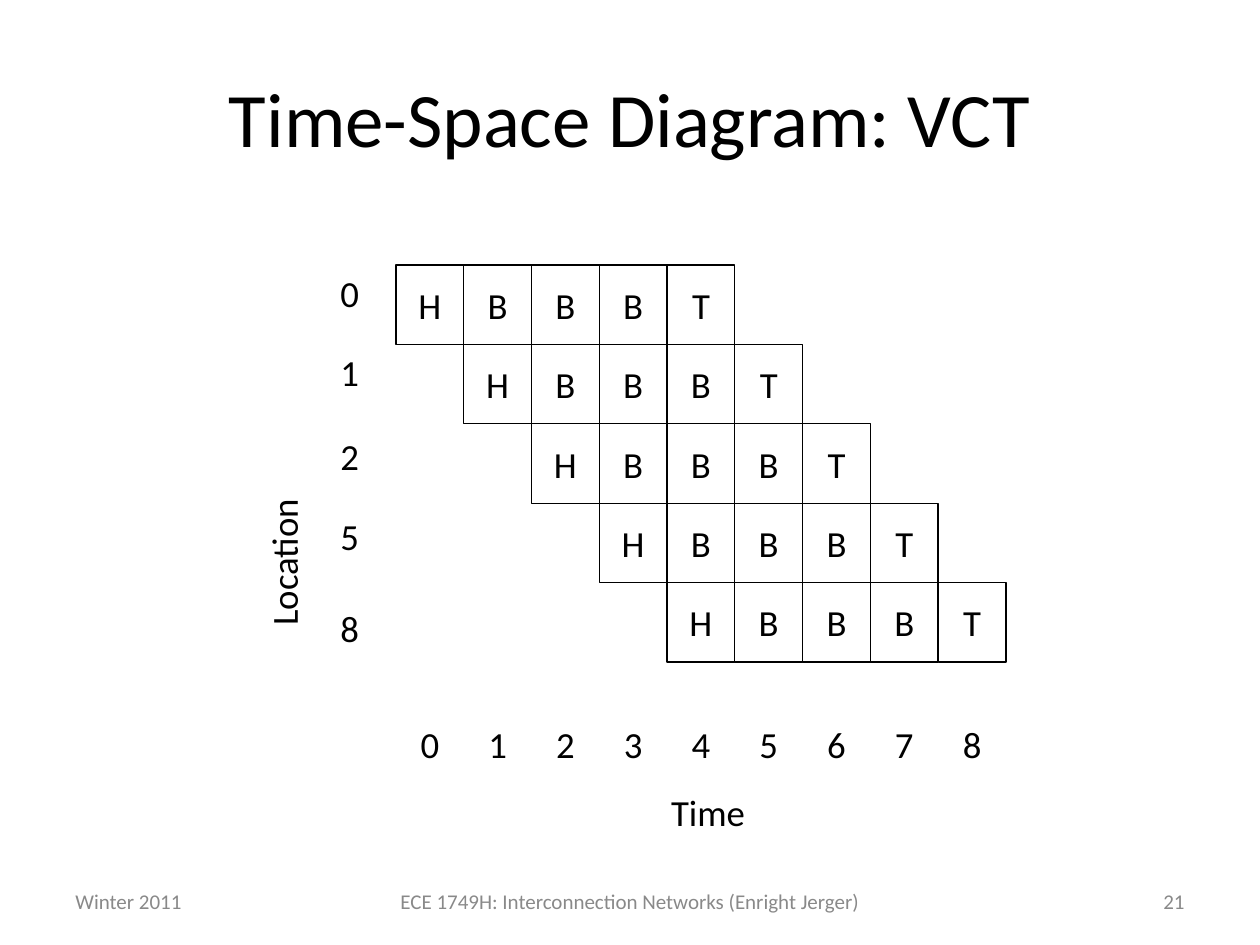
from pptx import Presentation
from pptx.dml.color import RGBColor
from pptx.enum.shapes import MSO_SHAPE as Kind
from pptx.enum.text import MSO_ANCHOR as Anchor, PP_ALIGN as Align
from pptx.util import Emu, Pt

TITLE = "Time-Space Diagram: VCT"
FLITS = ["H", "B", "B", "B", "T"]
TIMES = range(9)
NODES = [("0", 265), ("1", 344), ("2", 428), ("5", 508), ("8", 600)]
AXES = [
    ("Location", (136, 462, 295, 57), Align.LEFT, 270),
    ("Time", (410, 784, 596, 57), Align.CENTER, 0),
]
FOOT = [
    ("Winter 2011", (63, 876, 294, 50), Align.LEFT),
    ("ECE 1749H: Interconnection Networks (Enright Jerger)", (357, 876, 546, 50), Align.CENTER),
    ("21", (903, 876, 294, 50), Align.RIGHT),
]
HUES = {"ink": "000000", "paper": "FFFFFF", "foot": "898989"}
FONT = "Calibri"
PX = 914400 / 126
LEFT, TOP, WIDE, HIGH = 396, 265, 610, 397
AXIS_TOP = 704


def px(*vals):
    return [Emu(round(v * PX)) for v in vals]


def hue(name):
    return RGBColor.from_string(HUES[name])


def write(shape, text, size, align, anchor, color="ink"):
    frame = shape.text_frame
    frame.word_wrap = True
    frame.vertical_anchor = anchor
    para = frame.paragraphs[0]
    para.alignment = align
    run = para.add_run()
    run.text = text
    run.font.name = FONT
    run.font.size = Pt(size)
    run.font.color.rgb = hue(color)


def label(text, box, align, size=21, anchor=Anchor.TOP, color="ink"):
    shape = slide.shapes.add_textbox(*px(*box))
    write(shape, text, size, align, anchor, color)
    return shape


def cell(text, col, top, line):
    x = LEFT + WIDE * col / len(TIMES)
    box = px(x, top, WIDE / len(TIMES), HIGH / len(NODES))
    shape = slide.shapes.add_shape(Kind.RECTANGLE, *box)
    shape.shadow.inherit = False
    shape.fill.background()
    shape.line.color.rgb = hue(line)
    shape.line.width = Pt(0.75)
    write(shape, text, 21, Align.CENTER, Anchor.MIDDLE)


deck = Presentation()
deck.slide_width, deck.slide_height = px(1260, 945)
slide = deck.slides.add_slide(deck.slide_layouts[5])

title = slide.shapes.title
title.left, title.top, title.width, title.height = px(63, 38, 1134, 157)
write(title, TITLE, 44, Align.CENTER, Anchor.MIDDLE)

for text, box, align, turn in AXES:
    label(text, box, align).rotation = turn

for time in TIMES:
    cell(str(time), time, AXIS_TOP, "paper")

for row, (node, top) in enumerate(NODES):
    label(node, (328, top, 67, 57), Align.LEFT)
    for step, flit in enumerate(FLITS):
        cell(flit, row + step, TOP + HIGH * row / len(NODES), "ink")

for text, box, align in FOOT:
    label(text, box, align, 12, Anchor.MIDDLE, "foot")

deck.save("out.pptx")
